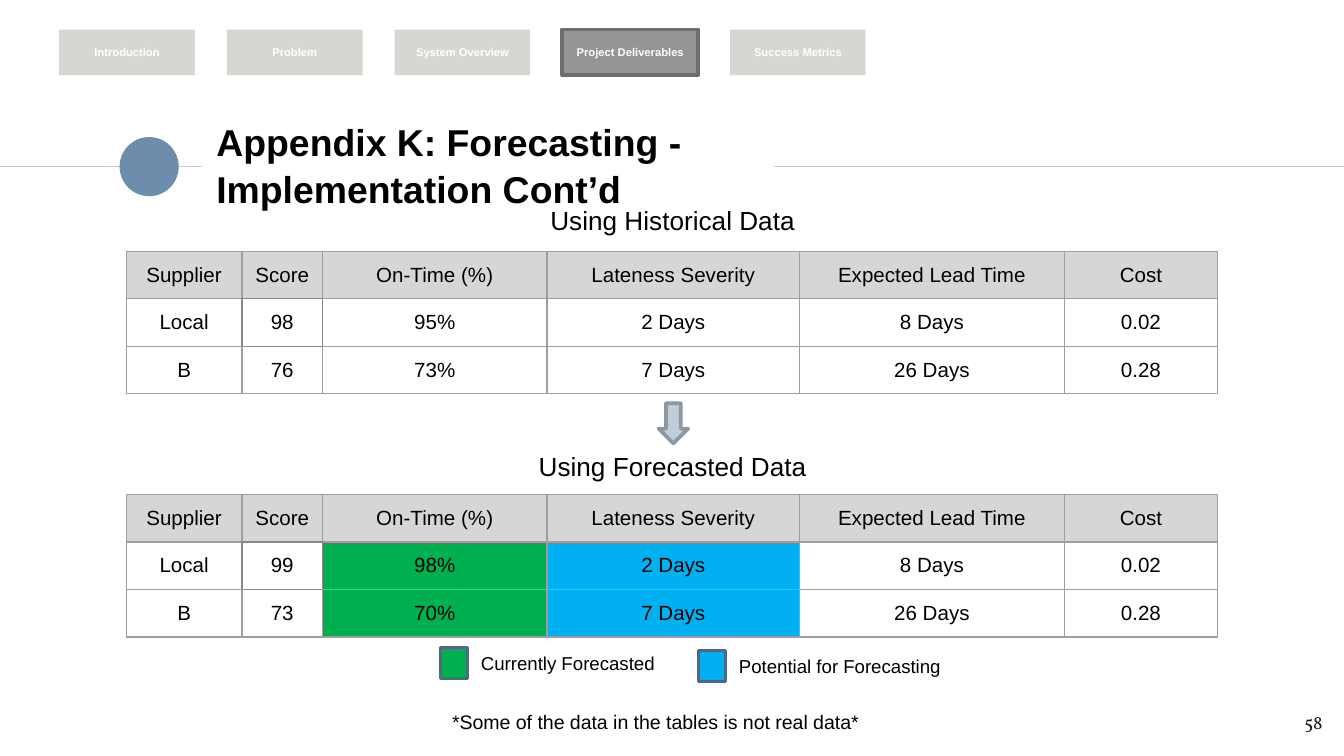
from lxml import etree
from pptx import Presentation
from pptx.dml.color import RGBColor
from pptx.enum.shapes import MSO_CONNECTOR, MSO_SHAPE
from pptx.enum.text import MSO_ANCHOR, MSO_AUTO_SIZE, PP_ALIGN
from pptx.oxml.ns import qn
from pptx.util import Inches, Pt

LEFT, CENTER, RIGHT = PP_ALIGN.LEFT, PP_ALIGN.CENTER, PP_ALIGN.RIGHT
MIDDLE = MSO_ANCHOR.MIDDLE
NO_FIT, GROW = MSO_AUTO_SIZE.NONE, MSO_AUTO_SIZE.SHAPE_TO_FIT_TEXT
STRAIGHT = MSO_CONNECTOR.STRAIGHT
RECT, OVAL, ARROW = MSO_SHAPE.RECTANGLE, MSO_SHAPE.OVAL, MSO_SHAPE.RIGHT_ARROW

BLACK = RGBColor(0x00, 0x00, 0x00)
WHITE = RGBColor(0xFF, 0xFF, 0xFF)
INK = RGBColor(0x1D, 0x1D, 0x1B)
RULE = RGBColor(0xCC, 0xCC, 0xCC)
DOT = RGBColor(0x6D, 0x8D, 0xAD)
TAB = RGBColor(0xD8, 0xD6, 0xD2)
TAB_ON = RGBColor(0x97, 0x95, 0x93)
TAB_EDGE = RGBColor(0x70, 0x6E, 0x6D)
ARROW_FILL = RGBColor(0xC0, 0xCD, 0xD8)
ARROW_EDGE = RGBColor(0x8E, 0x98, 0xA0)
HEADER = RGBColor(0xD6, 0xD6, 0xD6)
GRID = RGBColor(0x9E, 0x9E, 0x9E)
GRID_DARK = RGBColor(0x8A, 0x86, 0x82)
GREEN = RGBColor(0x00, 0xB0, 0x50)
BLUE = RGBColor(0x00, 0xB0, 0xF0)
KEY_EDGE = RGBColor(0x51, 0x68, 0x80)

prs = Presentation()
prs.slide_width, prs.slide_height = Inches(10), Inches(5.625)
COL = prs.slide_width / 100
ROW = prs.slide_height / 56.25
s = prs.slides.add_slide(prs.slide_layouts[5])


def add_text(tf, text, size, color=BLACK, align=CENTER, bold=False, font="Arial"):
    p = tf.paragraphs[0]
    p.alignment = align
    r = p.add_run()
    r.text = text
    r.font.name, r.font.size, r.font.bold = font, Pt(size), bold
    r.font.color.rgb = color
    return p


def add_box(kind, x, y, w, h, fill=None, edge=None, weight=0):
    at = [int(v) for v in (x * COL, y * ROW, w * COL, h * ROW)]
    if kind is None:
        sp = s.shapes.add_textbox(*at)
        sp.text_frame.word_wrap = True
        sp.text_frame.auto_size = GROW
        return sp
    sp = s.shapes.add_shape(kind, *at)
    sp.shadow.inherit = False
    sp.fill.solid()
    sp.fill.fore_color.rgb = fill
    if edge is None:
        sp.line.fill.background()
    else:
        sp.line.color.rgb, sp.line.width = edge, Pt(weight)
    return sp


for start, end in ((0, 15), (57.6, 100)):
    y = int(12.4 * ROW)
    line = s.shapes.add_connector(STRAIGHT, int(start * COL), y, int(end * COL), y)
    line.line.color.rgb, line.line.width = RULE, Pt(0.75)
    etree.SubElement(line._element.spPr, qn("a:effectLst"))
add_box(OVAL, 8.9, 10.2, 4.4, 4.4, DOT)

title = s.shapes.title
title.left, title.top = int(15.1 * COL), int(9.8 * ROW)
title.width, title.height = int(42.4 * COL), int(4.8 * ROW)
tf = title.text_frame
tf.word_wrap, tf.auto_size, tf.vertical_anchor = True, NO_FIT, MIDDLE
tf.margin_left = tf.margin_right = tf.margin_top = tf.margin_bottom = Inches(0.1)
p = add_text(tf, "Appendix K: Forecasting - Implementation Cont’d", 20, align=LEFT, bold=True)
p.line_spacing = 1.05

tf = add_box(None, 93.4, 51.9, 6, 4.3).text_frame
tf.auto_size = NO_FIT
tf.margin_left = tf.margin_right = tf.margin_top = tf.margin_bottom = Inches(0.1)
add_text(tf, "58", 10, INK, RIGHT, font="Vollkorn")

add_box(ARROW, 48.6, 30.4, 3, 2.2, ARROW_FILL, ARROW_EDGE, 2).rotation = 90

tabs = ("Introduction", "Problem", "System Overview", "Project Deliverables", "Success Metrics")
for i, name in enumerate(tabs):
    style = (TAB_ON, TAB_EDGE, 2) if name == "Project Deliverables" else (TAB,)
    tf = add_box(RECT, 4.4 + 12.48 * i, 2.2, 10.1, 3.4, *style).text_frame
    tf.margin_left = tf.margin_right = 0
    tf.vertical_anchor = MIDDLE
    add_text(tf, name, 6, WHITE, bold=True)

header = ("Supplier", "Score", "On-Time (%)", "Lateness Severity", "Expected Lead Time", "Cost")
widths = (8.6, 6, 16.7, 18.8, 19.7, 11.4)
dark_sides = {(1, 1): "LRTB", (0, 1): "B", (2, 1): "T", (1, 0): "R", (1, 2): "L"}
tables = (
    ("Using Historical Data", 14.7, 18.7, {},
     (("Local", "98", "95%", "2 Days", "8 Days", "0.02"),
      ("B", "76", "73%", "7 Days", "26 Days", "0.28"))),
    ("Using Forecasted Data", 33, 36.8, {2: GREEN, 3: BLUE},
     (("Local", "99", "98%", "2 Days", "8 Days", "0.02"),
      ("B", "73", "70%", "7 Days", "26 Days", "0.28"))),
)
for caption, caption_y, y, fills, body in tables:
    add_text(add_box(None, 29.3, caption_y, 41.5, 3.4).text_frame, caption, 14)
    frame = s.shapes.add_table(3, 6, int(9.4 * COL), int(y * ROW),
                               int(sum(widths) * COL), int(10.6 * ROW))
    table = frame.table
    table.first_row = table.horz_banding = False
    for column, width in zip(table.columns, widths):
        column.width = int(width * COL)
    for i, values in enumerate((header, *body)):
        table.rows[i].height = int(10.6 / 3 * ROW)
        for j, value in enumerate(values):
            cell = table.cell(i, j)
            cell.vertical_anchor = MIDDLE
            cell.margin_left = cell.margin_right = Inches(0.09)
            cell.margin_top = cell.margin_bottom = Inches(0.04)
            add_text(cell.text_frame, value, 11)
            tcPr = cell._tc.get_or_add_tcPr()
            for side in "LRTB":
                dark = side in dark_sides.get((i, j), "")
                ln = etree.SubElement(tcPr, qn(f"a:ln{side}"), w=str(Pt(0.75 if dark else 0.86)))
                fill = etree.SubElement(ln, qn("a:solidFill"))
                etree.SubElement(fill, qn("a:srgbClr"), val=str(GRID_DARK if dark else GRID))
            color = HEADER if i == 0 else fills.get(j)
            if color is None:
                cell.fill.background()
            else:
                cell.fill.solid()
                cell.fill.fore_color.rgb = color

for label, color, x, y, width in (("Currently Forecasted", GREEN, 32.8, 48.2, 15.6),
                                  ("Potential for Forecasting", BLUE, 52, 48.4, 18.7)):
    add_box(RECT, x, y, 2, 2.3, color, KEY_EDGE, 1.5)
    add_text(add_box(None, x + 2, y - 0.2, width, 2.7).text_frame, label, 10, align=LEFT)

note = add_box(None, 32.3, 52.3, 33.4, 2.8)
add_text(note.text_frame, "*Some of the data in the tables is not real data* ", 10.5)

prs.save("out.pptx")
